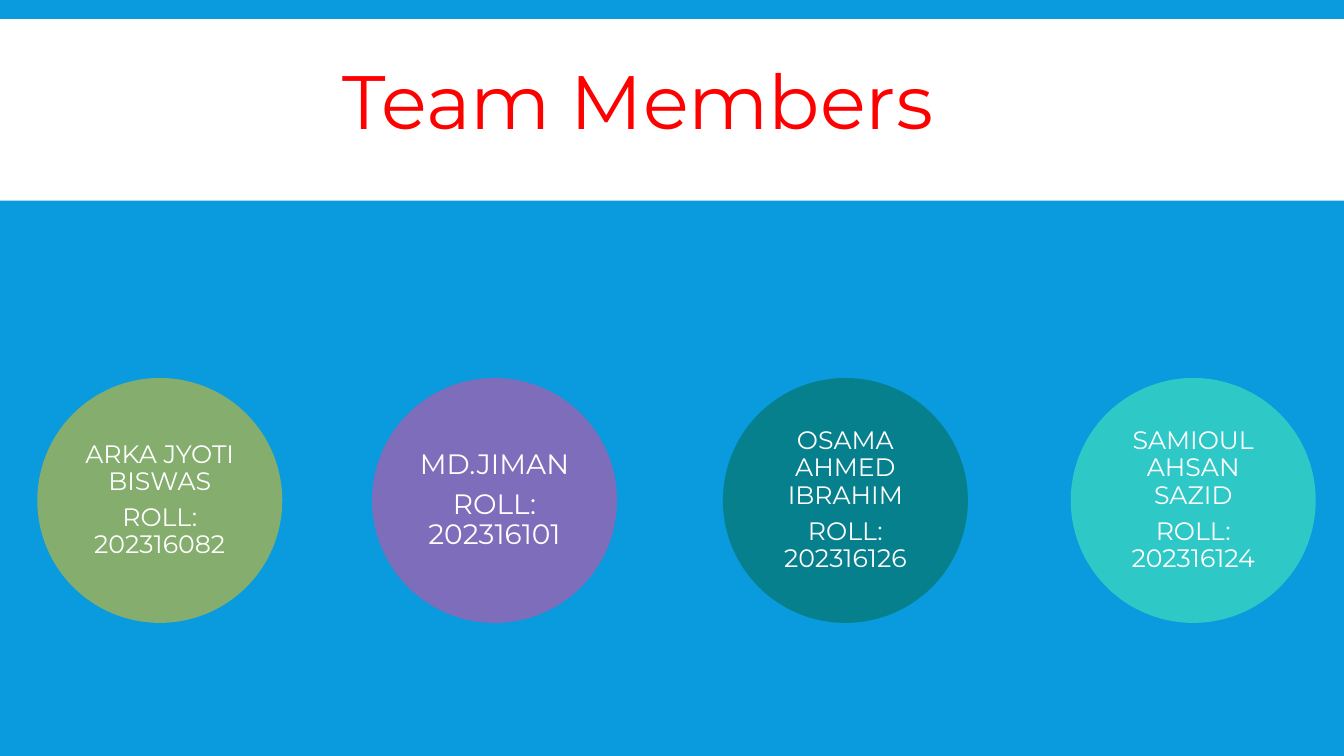
import lxml.etree
import pptx
import pptx.util
import pptx.oxml.ns
import pptx.dml.color
import pptx.enum.shapes
import pptx.enum.text

Inches = pptx.util.Inches
Pt = pptx.util.Pt
Shape = pptx.enum.shapes.MSO_SHAPE
Align = pptx.enum.text.PP_ALIGN
Anchor = pptx.enum.text.MSO_ANCHOR

COLORS = {
    "back": "099BDD", "white": "FFFFFF", "title": "FF0000",
    "gold": "FFC000", "pink": "F24099", "green": "04663C", "mint": "53F8B1",
}
TOP, SIZE = 3.75, 2.43
MEMBERS = [
    (0.37, "gold", "ARKA JYOTI BISWAS", "202316082", 18),
    (3.69, "pink", "MD.JIMAN", "202316101", 20),
    (7.17, "green", "OSAMA AHMED IBRAHIM", "202316126", 18),
    (10.62, "mint", "SAMIOUL AHSAN SAZID", "202316124", 18),
]


class Deck:
    font = "Montserrat"

    def __init__(self):
        self.prs = pptx.Presentation()
        self.prs.slide_width = Inches(13.33)
        self.prs.slide_height = Inches(7.5)
        self.slide = self.prs.slides.add_slide(self.prs.slide_layouts[5])
        self.paint(self.slide.background.fill, "back")

    def paint(self, fill, color):
        fill.solid()
        fill.fore_color.rgb = pptx.dml.color.RGBColor.from_string(COLORS[color])

    def style(self, para, size, color):
        para.alignment = Align.CENTER
        for run in para.runs:
            run.font.name = self.font
            run.font.size = Pt(size)
            self.paint(run.font.fill, color)

    def shape(self, kind, box, color):
        shape = self.slide.shapes.add_shape(kind, *map(Inches, box))
        shape.shadow.inherit = False
        shape.line.fill.background()
        self.paint(shape.fill, color)
        return shape

    def band(self, box):
        """Add a white band behind everything else on the slide."""
        band = self.shape(Shape.RECTANGLE, box, "white")
        self.slide.shapes.element.insert(2, band.element)

    def title(self, text, box):
        title = self.slide.shapes.title
        title.left, title.top, title.width, title.height = map(Inches, box)
        frame = title.text_frame
        frame.text = text
        frame.word_wrap = False
        frame.auto_size = pptx.enum.text.MSO_AUTO_SIZE.SHAPE_TO_FIT_TEXT
        frame.vertical_anchor = Anchor.TOP
        self.style(frame.paragraphs[0], 54, "title")

    def member(self, left, color, name, roll, size):
        """Add a half-transparent circle with a name and a roll number."""
        disc = self.shape(Shape.OVAL, (left, TOP, SIZE, SIZE), color)
        tint = disc.element.spPr.find(".//" + pptx.oxml.ns.qn("a:srgbClr"))
        alpha = lxml.etree.SubElement(tint, pptx.oxml.ns.qn("a:alpha"))
        alpha.set("val", "50000")
        frame = disc.text_frame
        frame.margin_left = frame.margin_right = 0
        frame.margin_top = frame.margin_bottom = 0
        frame.word_wrap = True
        frame.vertical_anchor = Anchor.MIDDLE
        frame.text = f"{name}\nROLL: {roll}"
        for para in frame.paragraphs:
            para.line_spacing = 0.9
            para.space_after = Pt(size * 0.35)
            self.style(para, size, "white")


def main():
    deck = Deck()
    deck.band((0, 0.19, 13.33, 1.8))
    deck.title("Team Members", (3.06, 0.48, 6.53, 1.01))
    for member in MEMBERS:
        deck.member(*member)
    deck.prs.save("out.pptx")


if __name__ == "__main__":
    main()
